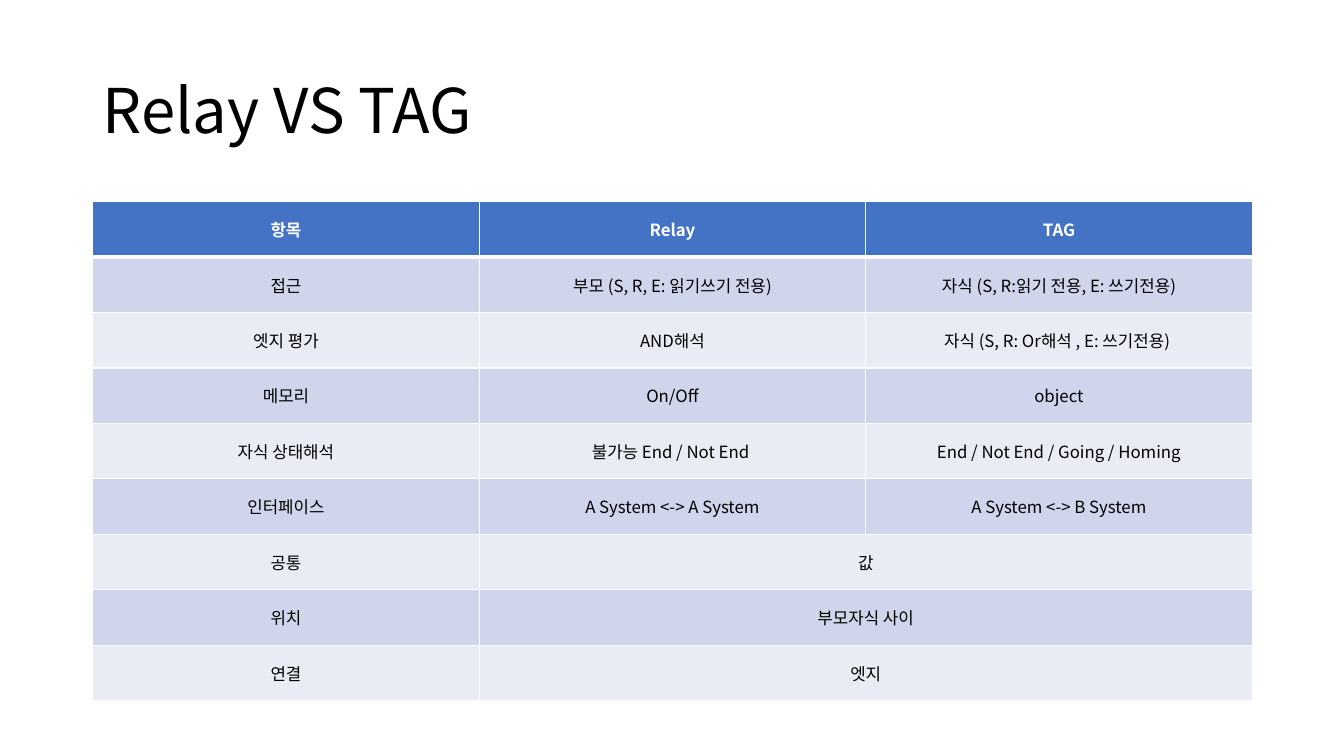
import pptx
import pptx.dml.color
import pptx.enum.text
import pptx.oxml.ns
import pptx.util
from lxml import etree

Inches = pptx.util.Inches
Pt = pptx.util.Pt
MIDDLE = pptx.enum.text.MSO_ANCHOR.MIDDLE
CENTER = pptx.enum.text.PP_ALIGN.CENTER

FONT = "Noto Sans CJK KR"
WHITE, BLACK, BLUE = "FFFFFF", "000000", "4472C4"
BANDS = ["CFD5EA", "E9EBF5"]

# A row with two entries has its second one merged across both columns
COMPARISON = [
    ["항목", "Relay", "TAG"],
    ["접근", "부모 (S, R, E: 읽기쓰기 전용)", "자식 (S, R:읽기 전용, E: 쓰기전용)"],
    ["엣지 평가", "AND해석", "자식 (S, R: Or해석 , E: 쓰기전용) "],
    ["메모리", "On/Off", "object"],
    ["자식 상태해석", "불가능 End / Not End ", "End / Not End / Going / Homing"],
    ["인터페이스", "A System <-> A System", "A System <-> B System"],
    ["공통", "값"],
    ["위치", "부모자식 사이"],
    ["연결", "엣지"],
]


def rgb(color):
    return pptx.dml.color.RGBColor.from_string(color)


def write_text(frame, text, size=12, color=BLACK, bold=False, align=None, spacing=None):
    paragraph = frame.paragraphs[0]
    paragraph.alignment = align
    paragraph.line_spacing = spacing
    run = paragraph.add_run()
    run.text = text
    run.font.size = Pt(size)
    run.font.bold = bold
    run.font.color.rgb = rgb(color)
    run.font.name = FONT
    # Korean glyphs use the East Asian typeface
    east_asian = etree.SubElement(run.font._element, pptx.oxml.ns.qn("a:ea"))
    east_asian.set("typeface", FONT)


def set_borders(cell, top=1, bottom=1):
    properties = cell._tc.get_or_add_tcPr()
    widths = {"lnL": 1, "lnR": 1, "lnT": top, "lnB": bottom}
    for index, (side, width) in enumerate(widths.items()):
        line = etree.Element(pptx.oxml.ns.qn("a:" + side), w=str(Pt(width)))
        fill = etree.SubElement(line, pptx.oxml.ns.qn("a:solidFill"))
        etree.SubElement(fill, pptx.oxml.ns.qn("a:srgbClr"), val=WHITE)
        properties.insert(index, line)


def add_title(slide, left, top, width, height):
    frame = slide.shapes.add_textbox(
        Inches(left), Inches(top), Inches(width), Inches(height)).text_frame
    frame.word_wrap = True
    frame.vertical_anchor = MIDDLE
    write_text(frame, "Relay VS TAG", size=44, spacing=0.9)


def add_comparison(slide, left, top, width, height):
    row_count, column_count = len(COMPARISON), len(COMPARISON[0])
    table = slide.shapes.add_table(
        row_count, column_count,
        Inches(left), Inches(top), Inches(width), Inches(height)).table
    for column in table.columns:
        column.width = Inches(width / column_count)
    for row in table.rows:
        row.height = Inches(height / row_count)

    for r, entries in enumerate(COMPARISON):
        header = r == 0
        # Fill and borders, with a thick rule under the header
        for c in range(column_count):
            cell = table.cell(r, c)
            cell.fill.solid()
            cell.fill.fore_color.rgb = rgb(BLUE if header else BANDS[(r - 1) % 2])
            set_borders(cell, top=3 if r == 1 else 1, bottom=3 if header else 1)
        if len(entries) < column_count:
            table.cell(r, 1).merge(table.cell(r, 2))
        # Text
        for c, text in enumerate(entries):
            cell = table.cell(r, c)
            cell.vertical_anchor = MIDDLE
            write_text(cell.text_frame, text, color=WHITE if header else BLACK,
                       bold=header, align=CENTER)


def main():
    presentation = pptx.Presentation()
    presentation.slide_width = Inches(13.33)
    presentation.slide_height = Inches(7.5)
    slide = presentation.slides.add_slide(presentation.slide_layouts[6])
    add_title(slide, 0.92, 0.4, 11.5, 1.45)
    add_comparison(slide, 0.92, 2, 11.5, 4.95)
    presentation.save("out.pptx")


if __name__ == "__main__":
    main()
